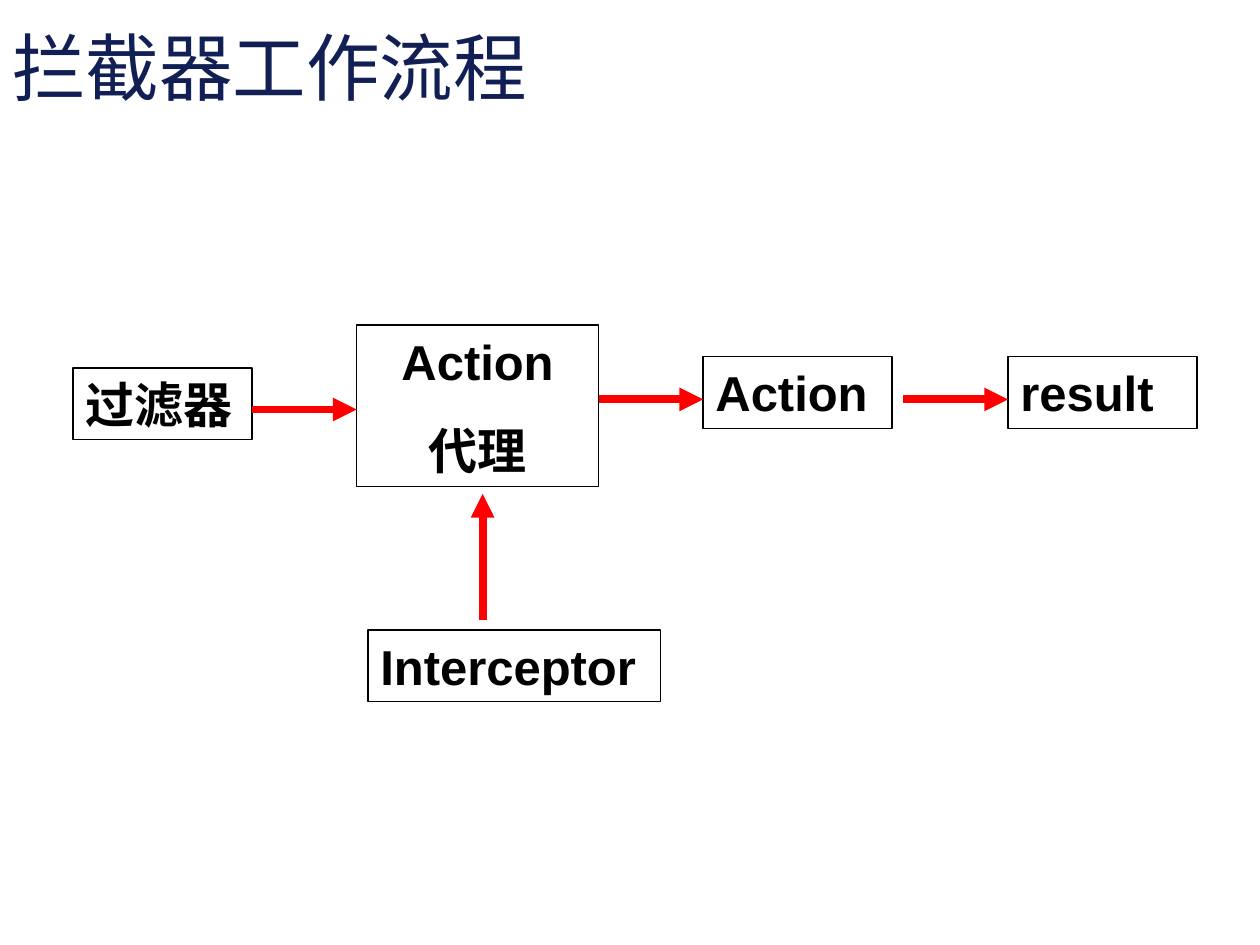
from pptx import Presentation
from pptx.dml.color import RGBColor
from pptx.enum.shapes import MSO_CONNECTOR, MSO_SHAPE
from pptx.enum.text import MSO_ANCHOR, MSO_AUTO_SIZE, PP_ALIGN
from pptx.oxml.ns import qn
from pptx.util import Inches, Pt
from lxml.etree import SubElement

COLORS = {"title": "121F55", "text": "000000", "border": "000000", "arrow": "FF0000"}
FONT = "Arial"
BOX_HEIGHT = 0.57
ARROW_LENGTH = 0.83


def color(name):
    """Return the named colour."""
    return RGBColor.from_string(COLORS[name])


def style_text(paragraph, size, color_name, bold=False):
    """Set the font of every run in a paragraph."""
    for run in paragraph.runs:
        run.font.name = FONT
        run.font.size = Pt(size)
        run.font.bold = bold
        run.font.color.rgb = color(color_name)


def add_title(slide, text):
    """Add the slide title across the top."""
    shape = slide.shapes.add_textbox(Inches(0), Inches(0.13), Inches(10), Inches(0.79))
    text_frame = shape.text_frame
    text_frame.word_wrap = True
    text_frame.vertical_anchor = MSO_ANCHOR.MIDDLE
    text_frame.text = text
    style_text(text_frame.paragraphs[0], 42, "title")


def add_box(slide, text, left, top, width, height=BOX_HEIGHT, align=PP_ALIGN.LEFT):
    """Add an outlined step box with bold text and return it."""
    shape = slide.shapes.add_shape(
        MSO_SHAPE.RECTANGLE, Inches(left), Inches(top), Inches(width), Inches(height))
    shape.shadow.inherit = False
    shape.fill.background()
    shape.line.color.rgb = color("border")
    shape.line.width = Pt(0.75)
    text_frame = shape.text_frame
    text_frame.word_wrap = True
    text_frame.auto_size = MSO_AUTO_SIZE.SHAPE_TO_FIT_TEXT
    text_frame.vertical_anchor = MSO_ANCHOR.TOP
    text_frame.text = text
    for index, paragraph in enumerate(text_frame.paragraphs):
        paragraph.alignment = align
        paragraph.space_before = Pt(17.5 if index else 0)
        style_text(paragraph, 28, "text", bold=True)
    return shape


def add_arrow(slide, start, end):
    """Add a thick arrow from start to end."""
    connector = slide.shapes.add_connector(
        MSO_CONNECTOR.STRAIGHT, *(Inches(value) for value in start + end))
    connector.line.color.rgb = color("arrow")
    connector.line.width = Pt(4.5)
    SubElement(connector.line._get_or_add_ln(), qn("a:tailEnd"), type="triangle")
    SubElement(connector._element.spPr, qn("a:effectLst"))


def main():
    """Build the interceptor workflow slide."""
    presentation = Presentation()
    presentation.slide_width = Inches(10)
    presentation.slide_height = Inches(7.5)
    slide = presentation.slides.add_slide(presentation.slide_layouts[6])

    add_title(slide, "拦截器工作流程")
    add_box(slide, "过滤器", 0.58, 2.92, 1.42)
    proxy = add_box(slide, "Action\n代理", 2.83, 2.58, 1.92, 1.28, PP_ALIGN.CENTER)
    proxy_label = proxy.text_frame.paragraphs[1]
    proxy_label._p.get_or_add_pPr().set("indent", str(Inches(-0.26)))
    add_box(slide, "Action", 5.58, 2.83, 1.5)
    add_box(slide, "result", 8, 2.83, 1.5)
    add_box(slide, "Interceptor", 2.92, 5, 2.32)

    for left, y in ((2, 3.25), (4.75, 3.17), (7.17, 3.17)):
        add_arrow(slide, (left, y), (left + ARROW_LENGTH, y))
    add_arrow(slide, (3.83, 4.92), (3.83, 3.92))

    presentation.save("out.pptx")


if __name__ == "__main__":
    main()
